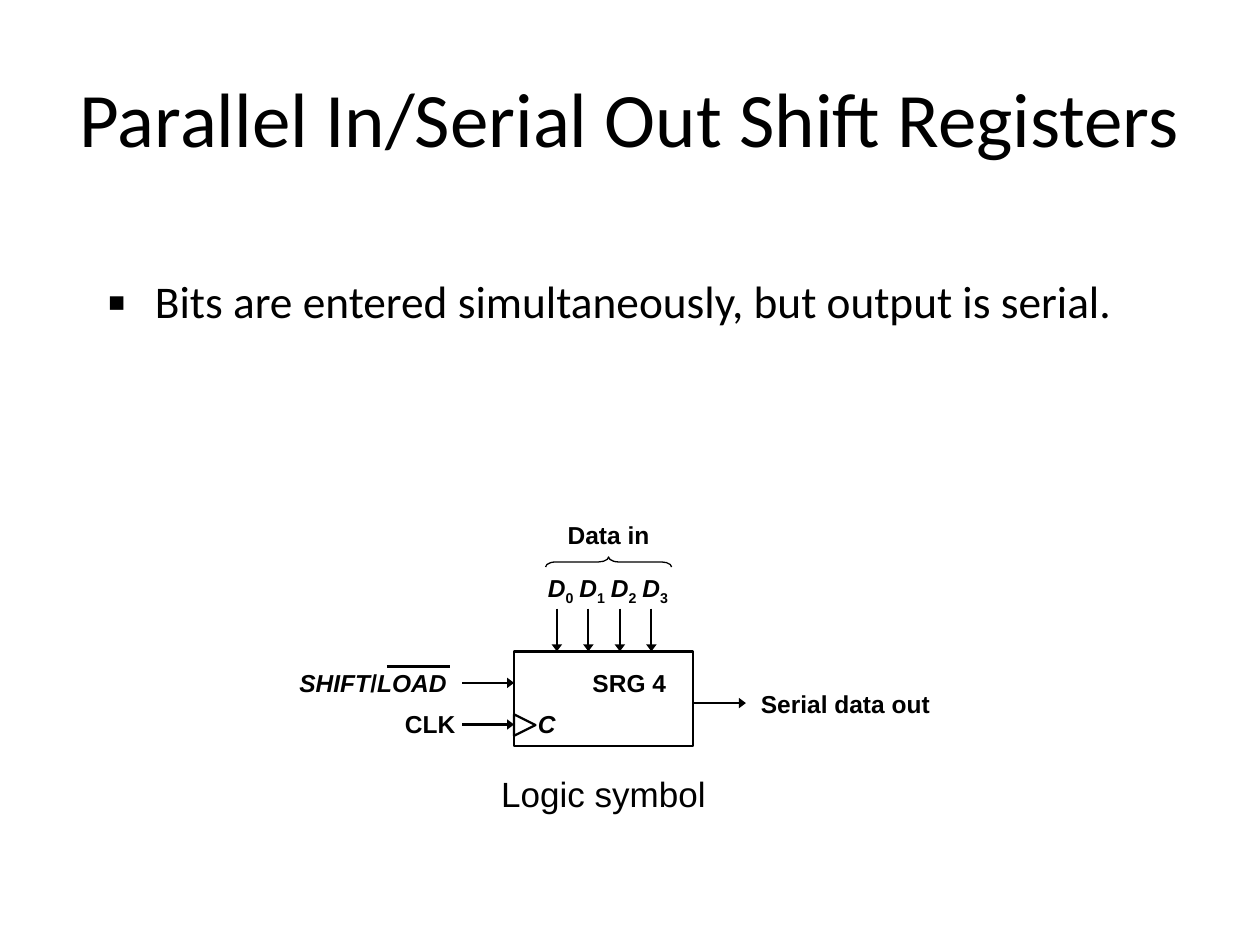
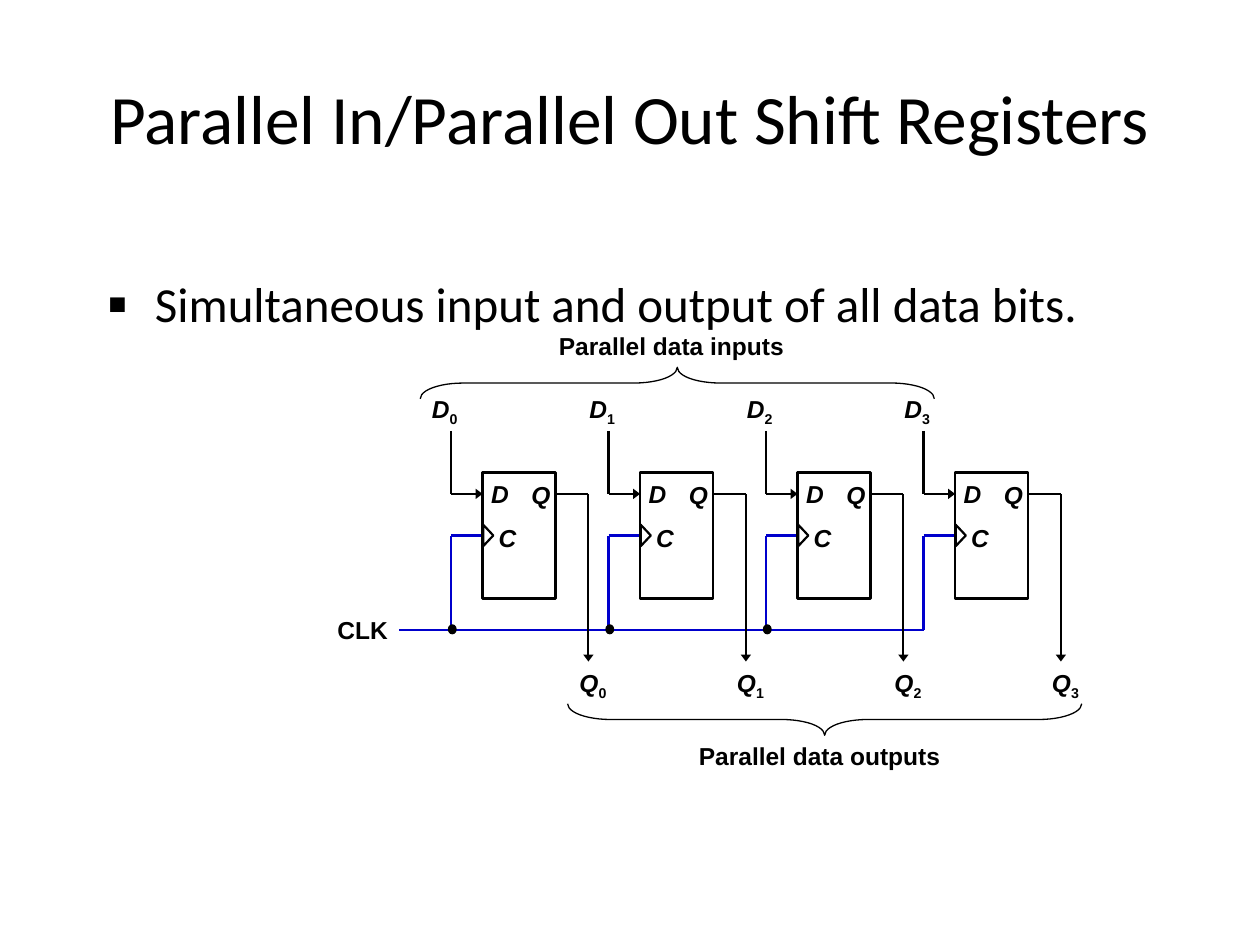
from dataclasses import dataclass

from lxml import etree
from pptx import Presentation
from pptx.dml.color import RGBColor
from pptx.enum import shapes, text
from pptx.oxml.ns import qn
from pptx.util import Inches, Pt

BLACK, BLUE = "000000", "0000CC"
HEAD, SANS = "Calibri", "Arial"
KIND = shapes.MSO_SHAPE
LEFT, MID = text.PP_ALIGN.LEFT, text.PP_ALIGN.CENTER
BITS = range(4)


@dataclass
class Run:
    words: str
    slant: bool = False
    sub: bool = False


@dataclass
class Label:
    left: float
    top: float
    width: float
    runs: list[Run]
    align: text.PP_ALIGN = MID
    size: float = 14
    bold: bool = True
    height: float = 0.33


@dataclass
class Wire:
    x1: float
    y1: float
    x2: float
    y2: float
    color: str = BLACK
    arrow: bool = False


@dataclass
class Part:
    kind: shapes.MSO_SHAPE
    left: float
    top: float
    width: float
    height: float
    weight: float = 1.5
    turn: float = 0
    adjust: tuple[float, ...] = ()
    fill: str | None = None


def paint(color: str) -> RGBColor:
    return RGBColor.from_string(color)


def dress(font, face: str, size: float, bold: bool = False) -> None:
    font.name, font.size, font.bold = face, Pt(size), bold
    font.color.rgb = paint(BLACK)


def place(shape, left: float, top: float, width: float, height: float) -> None:
    shape.left, shape.top = Inches(left), Inches(top)
    shape.width, shape.height = Inches(width), Inches(height)


def add_label(slide, label: Label) -> None:
    box = slide.shapes.add_textbox(Inches(label.left), Inches(label.top),
                                   Inches(label.width), Inches(label.height))
    box.text_frame.word_wrap = label.align == MID
    box.text_frame.auto_size = text.MSO_AUTO_SIZE.SHAPE_TO_FIT_TEXT
    para = box.text_frame.paragraphs[0]
    para.alignment = label.align
    for item in label.runs:
        run = para.add_run()
        run.text = item.words
        dress(run.font, SANS, label.size, label.bold)
        run.font.italic = item.slant
        if item.sub:
            run.font._element.set("baseline", "-25000")


def add_wire(slide, wire: Wire) -> None:
    line = slide.shapes.add_connector(
        shapes.MSO_CONNECTOR.STRAIGHT, Inches(wire.x1), Inches(wire.y1),
        Inches(wire.x2), Inches(wire.y2))
    line.line.color.rgb = paint(wire.color)
    line.line.width = Pt(1.25)
    if wire.arrow:
        etree.SubElement(line.line._get_or_add_ln(), qn("a:tailEnd"),
                         type="triangle", len="sm")
    etree.SubElement(line._element.spPr, qn("a:effectLst"))


def add_part(slide, part: Part) -> None:
    shape = slide.shapes.add_shape(part.kind, Inches(part.left), Inches(part.top),
                                   Inches(part.width), Inches(part.height))
    shape.shadow.inherit = False
    shape.rotation = part.turn
    for index, value in enumerate(part.adjust):
        shape.adjustments[index] = value
    if part.fill:
        shape.fill.solid()
        shape.fill.fore_color.rgb = paint(part.fill)
    else:
        shape.fill.background()
    shape.line.color.rgb = paint(BLACK)
    shape.line.width = Pt(part.weight)


def draw(slide, *items: Label | Wire | Part) -> None:
    tools = {Label: add_label, Wire: add_wire, Part: add_part}
    for item in items:
        tools[type(item)](slide, item)


def pin(name: str, bit: int, left: float, top: float) -> Label:
    """Name of a data line with its bit number below the baseline."""
    return Label(left, top, 0.42, [Run(name, True), Run(str(bit), sub=True)], LEFT)


def brace(left: float, top: float, width: float, height: float,
          turn: float, curve: float) -> Part:
    return Part(KIND.LEFT_BRACE, left, top, width, height, 0.75, turn, (curve, 0.5))


def start(deck, title: str, size: float, point: str, scale: float):
    """New slide with its title and one square-bulleted point."""
    slide = deck.slides.add_slide(deck.slide_layouts[1])
    head, body = slide.shapes.title, slide.placeholders[1]
    place(head, 0.5, 0.3, 9, 1.25)
    place(body, 0.75, 2.17, 8.42, 0.53)
    for shape in (head, body):
        shape.text_frame.auto_size = text.MSO_AUTO_SIZE.NONE
    head.text_frame.vertical_anchor = text.MSO_ANCHOR.MIDDLE

    para = head.text_frame.paragraphs[0]
    para.alignment = MID
    run = para.add_run()
    run.text = title
    dress(run.font, HEAD, size)

    para = body.text_frame.paragraphs[0]
    props = para._p.get_or_add_pPr()
    props.set("marL", str(Inches(0.38)))
    props.set("indent", str(Inches(-0.38)))
    etree.SubElement(props, qn("a:buSzPct"), val="120000")
    etree.SubElement(props, qn("a:buFont"), typeface=SANS)
    etree.SubElement(props, qn("a:buChar"), char="▪")
    para.line_spacing = 0.9
    para.space_before = Pt(0)
    run = para.add_run()
    run.text = point
    dress(run.font, HEAD, scale)
    return slide


def add_serial(deck) -> None:
    slide = start(deck, "Parallel In/Serial Out Shift Registers", 44,
                  "Bits are entered simultaneously, but output is serial.", 25.9)
    draw(slide,
         Label(3.75, 6.08, 2.08, [Run("Logic symbol")], size=20, bold=False, height=0.43),
         Part(KIND.RECTANGLE, 4.08, 5.17, 1.42, 0.75),
         Label(4.17, 5.58, 0.33, [Run("C", True)]),
         Part(KIND.ISOSCELES_TRIANGLE, 4.08, 5.67, 0.17, 0.17, 1.25, 90),
         Wire(3.67, 5.42, 4.08, 5.42, arrow=True),
         Wire(3.67, 5.75, 4.08, 5.75, arrow=True),
         Wire(5.5, 5.58, 5.92, 5.58, arrow=True),
         Label(3.08, 5.58, 0.67, [Run("CLK")]),
         Label(2.25, 5.25, 1.42, [Run("SHIFT", True), Run("/"), Run("LOAD", True)]),
         Wire(3.07, 5.29, 3.57, 5.29),
         Label(4.58, 5.25, 0.83, [Run("SRG 4")]),
         Label(5.92, 5.42, 1.58, [Run("Serial data out")]),
         Label(4.33, 4.08, 1, [Run("Data in")]),
         brace(4.79, 3.96, 0.08, 1, 90, 1))
    for bit in BITS:
        left = 4.25 + 0.25 * bit
        draw(slide, pin("D", bit, left, 4.5),
             Wire(left + 0.17, 4.83, left + 0.17, 5.17, arrow=True))


def add_stage(slide, bit: int) -> None:
    """One flip-flop with its data, clock and output wires."""
    feed = 3.58 + 1.25 * bit
    left = feed + 0.25
    right = left + 0.58
    out = right + 0.26
    draw(slide,
         pin("D", bit, feed - 0.25, 3.08),
         Wire(feed, 3.42, feed, 3.92),
         Wire(feed, 3.92, left, 3.92, arrow=True),
         Wire(feed, 4.25, left, 4.25, BLUE),
         Wire(feed, 4.25, feed, 5, BLUE),
         Part(KIND.RECTANGLE, left, 3.75, 0.58, 1),
         Part(KIND.ISOSCELES_TRIANGLE, left - 0.04, 4.21, 0.17, 0.08, 1.25, 90),
         Label(left - 0.03, 3.75, 0.34, [Run("D", True)], LEFT),
         Label(left + 0.03, 4.1, 0.34, [Run("C", True)], LEFT),
         Label(left + 0.29, 3.76, 0.33, [Run("Q", True)], LEFT),
         Wire(right, 3.92, out, 3.92),
         Wire(out, 3.92, out, 5.25, arrow=True),
         pin("Q", bit, out - 0.17, 5.25))
    if bit < BITS[-1]:
        draw(slide, Part(KIND.OVAL, feed - 0.02, 4.96, 0.06, 0.07, 0.75, fill=BLACK))


def add_parallel(deck) -> None:
    slide = start(deck, "Parallel In/Parallel Out Shift Registers", 39.6,
                  "Simultaneous input and output of all data bits.", 28)
    draw(slide, Wire(3.17, 5, 7.33, 5, BLUE),
         Label(2.58, 4.83, 0.6, [Run("CLK")], LEFT))
    for bit in BITS:
        add_stage(slide, bit)
    draw(slide,
         Label(4.33, 2.58, 2, [Run("Parallel data inputs")]),
         brace(5.25, 1, 0.25, 4.08, 90, 1.36),
         Label(5.42, 5.83, 2.17, [Run("Parallel data outputs")]),
         brace(6.42, 3.67, 0.25, 4.08, 270, 1.36))


def main() -> None:
    deck = Presentation()
    deck.slide_width, deck.slide_height = Inches(10), Inches(7.5)
    add_serial(deck)
    add_parallel(deck)
    deck.save("out.pptx")


if __name__ == "__main__":
    main()
